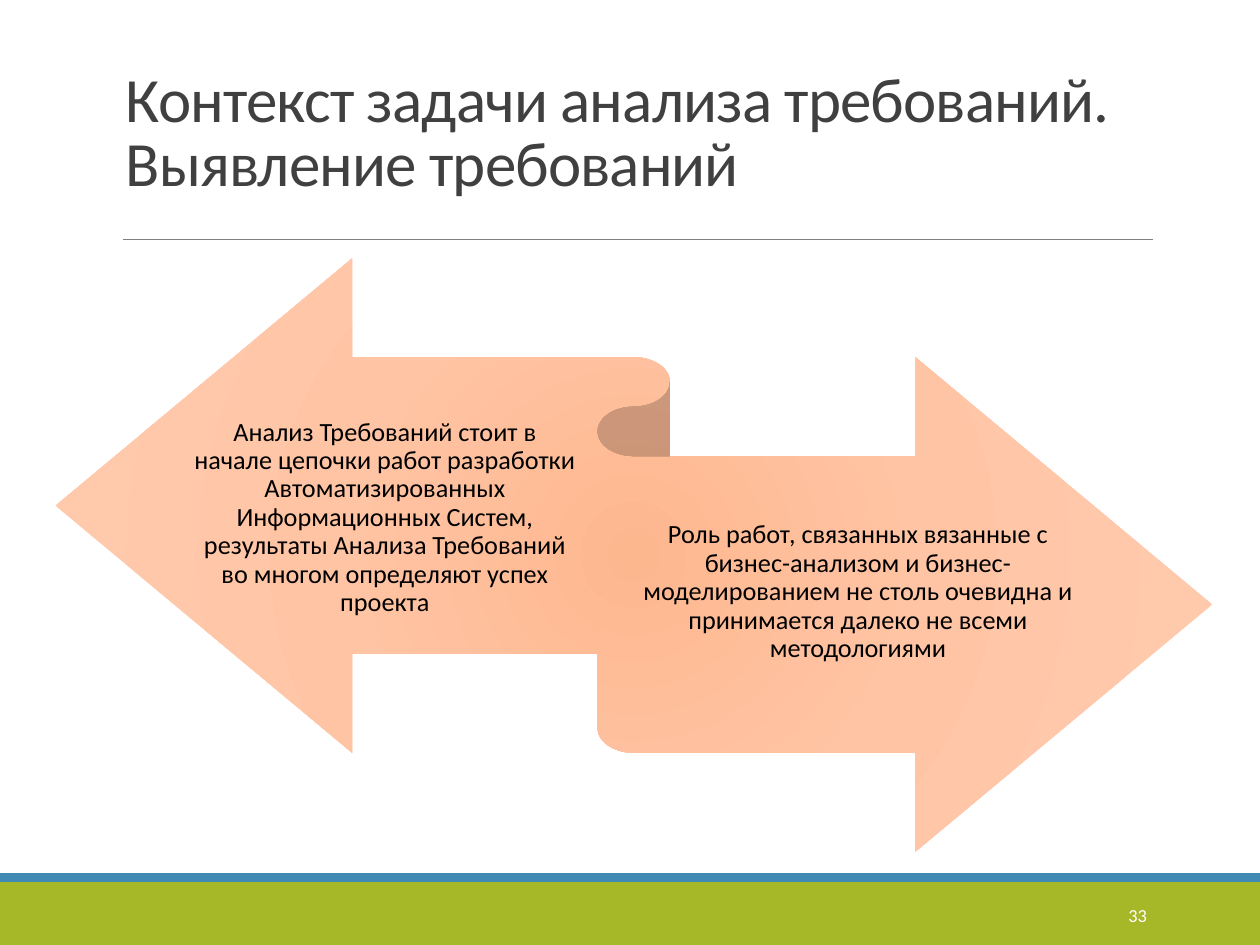
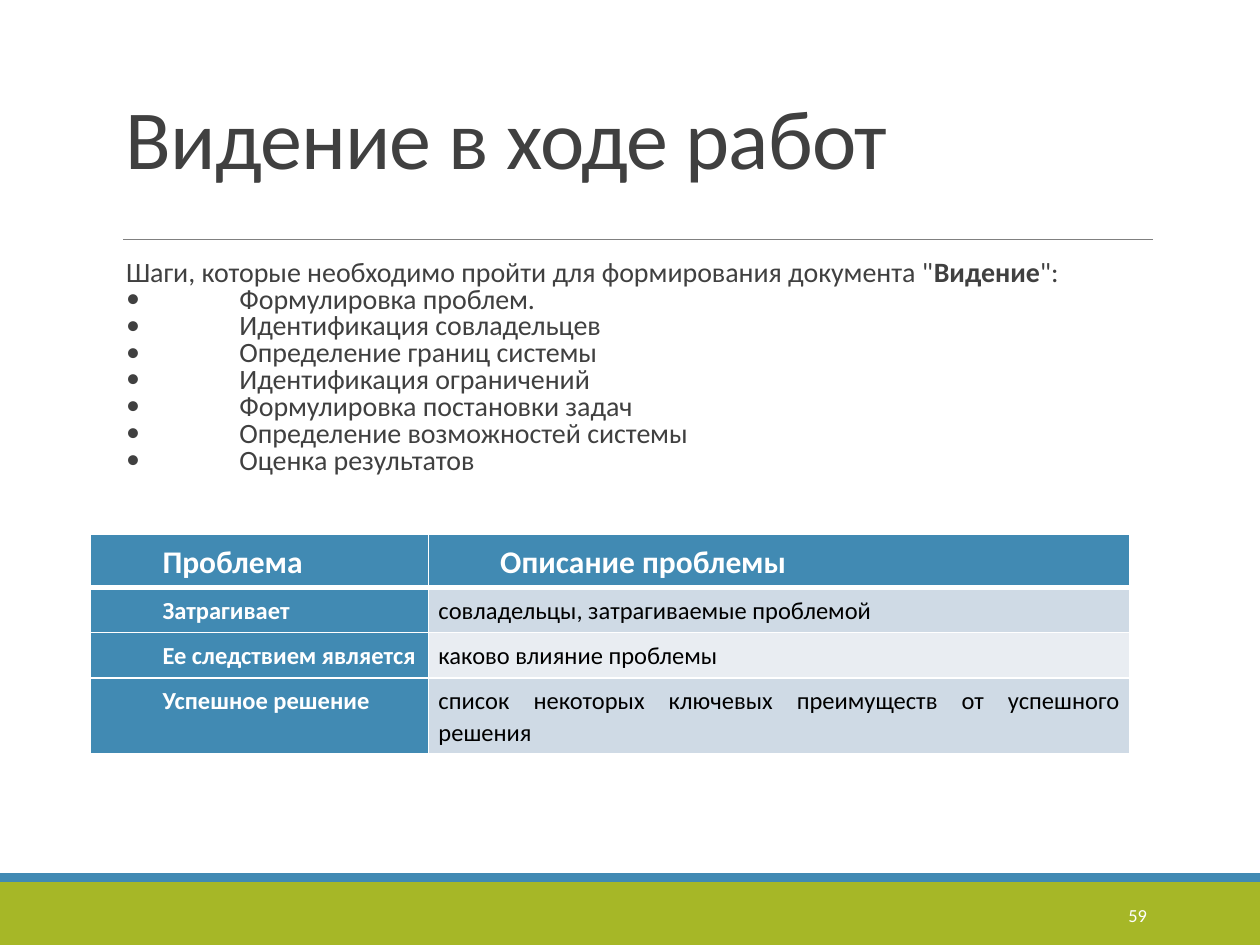
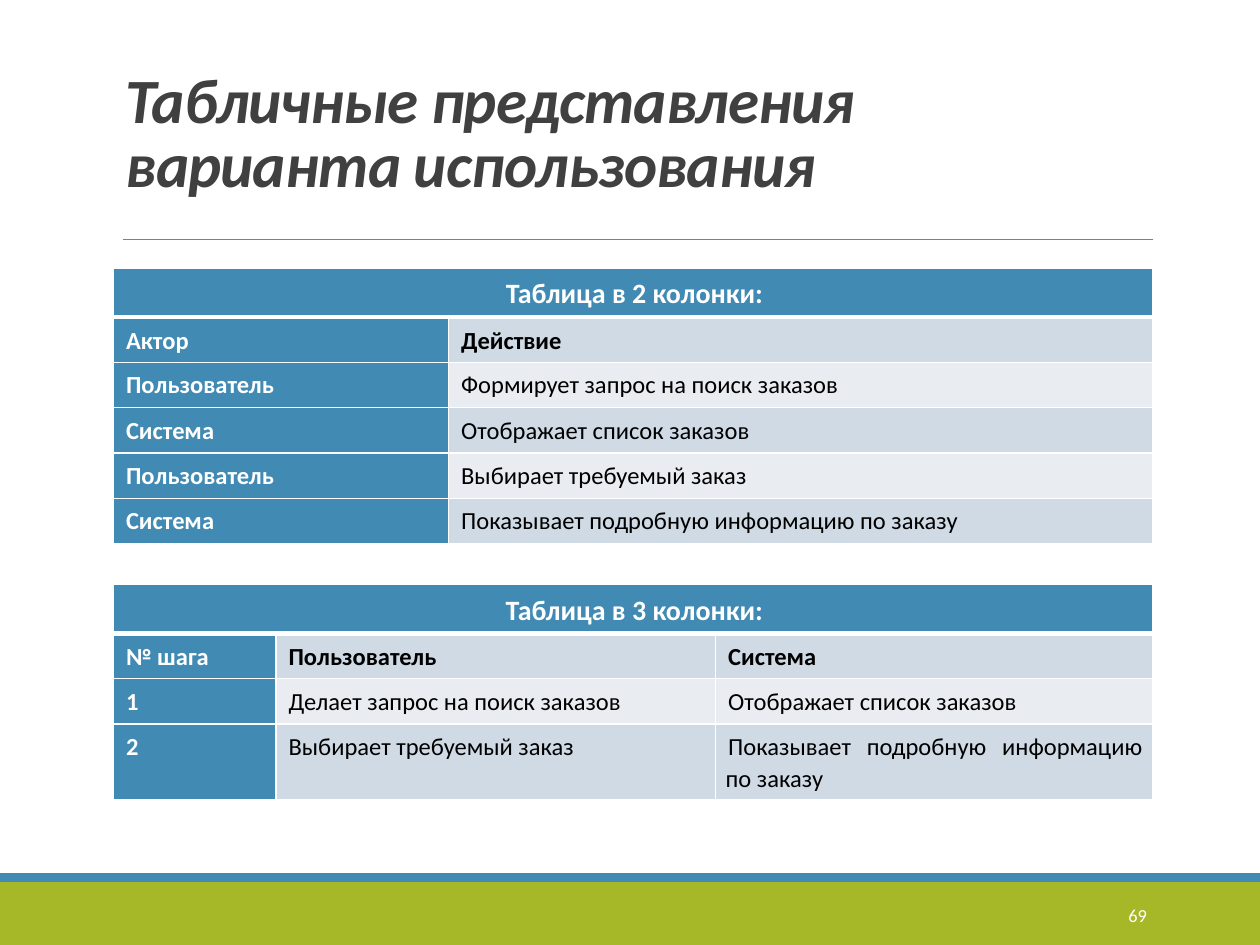
"""Build three slides on requirements analysis."""
from dataclasses import dataclass

from pptx import Presentation
from pptx.dml.color import RGBColor
from pptx.enum.shapes import MSO_CONNECTOR, MSO_SHAPE
from pptx.enum.text import MSO_ANCHOR, PP_ALIGN
from pptx.oxml import parse_xml
from pptx.oxml.ns import nsdecls, qn
from pptx.slide import Slide
from pptx.text.text import TextFrame
from pptx.util import Inches, Pt

RECT, RIBBON = MSO_SHAPE.RECTANGLE, MSO_SHAPE.LEFT_RIGHT_RIBBON
LINE = MSO_CONNECTOR.STRAIGHT
TOP, MID, LOW = MSO_ANCHOR.TOP, MSO_ANCHOR.MIDDLE, MSO_ANCHOR.BOTTOM
LEFT, RIGHT = PP_ALIGN.LEFT, PP_ALIGN.RIGHT
CENTER, JUST = PP_ALIGN.CENTER, PP_ALIGN.JUSTIFY
FONT = "Calibri"
HUES = {
    "green": "A6B727", "blue": "418AB3", "rule": "808080", "ink": "404040",
    "black": "000000", "white": "FFFFFF", "odd": "CFDAE5", "even": "E9EDF2",
}
GLOW = ((0, "FDB78F"), (45, "FFC4A4"), (100, "FFCBAF"))


@dataclass
class Box:
    left: float
    top: float
    width: float
    height: float

    def place(self) -> list[int]:
        return [Inches(n) for n in (self.left, self.top, self.width, self.height)]


@dataclass
class Band:
    box: Box
    hue: str


@dataclass
class Head:
    text: str
    height: float
    size: int = 36
    strong: bool = False


@dataclass
class Grid:
    left: float
    top: float
    cols: tuple[float, ...]
    rows: list[tuple[str, ...]]
    size: int
    lead: float
    inner: float
    heads: int = 1
    span: bool = False


BANDS = (Band(Box(0, 7, 10, 0.5), "green"), Band(Box(0, 6.93, 10, 0.07), "blue"))

NOTES = (
    (Box(1.54, 3.21, 3.03, 1.8),
     "Анализ Требований стоит в начале цепочки работ разработки Автоматизированных "
     "Информационных Систем, результаты Анализа Требований во многом определяют "
     "успех проекта"),
    (Box(5.02, 3.8, 3.58, 1.8),
     "Роль работ, связанных вязанные с бизнес-анализом и бизнес-моделированием не "
     "столь очевидна и принимается далеко не всеми методологиями"),
)

STEPS = (
    'Шаги, которые необходимо пройти для формирования документа "**Видение**":',
    "Формулировка проблем.",
    "Идентификация совладельцев",
    "Определение границ системы",
    "Идентификация ограничений",
    "Формулировка постановки задач",
    "Определение возможностей системы",
    "Оценка результатов",
)

ISSUE = Grid(0.72, 4.24, (2.68, 5.57), [
    ("Проблема", "Описание проблемы"),
    ("Затрагивает", "совладельцы, затрагиваемые проблемой"),
    ("Ее следствием является", "каково влияние проблемы"),
    ("Успешное решение",
     "список некоторых ключевых преимуществ от успешного решения"),
], size=18, lead=0.49, inner=0)

PAIR = Grid(0.9, 2.13, (2.66, 5.59), [
    ("Таблица в 2 колонки:", ""),
    ("Актор", "Действие"),
    ("Пользователь", "Формирует запрос на поиск заказов"),
    ("Система", "Отображает список заказов"),
    ("Пользователь", "Выбирает требуемый заказ"),
    ("Система", "Показывает подробную информацию по заказу"),
], size=16, lead=0.02, inner=0.02, heads=2, span=True)

TRIO = Grid(0.9, 4.64, (1.29, 3.49, 3.47), [
    ("Таблица в 3 колонки:", "", ""),
    ("№ шага", "Пользователь", "Система"),
    ("1", "Делает запрос на поиск заказов", "Отображает список заказов"),
    ("2", "Выбирает требуемый заказ", "Показывает подробную информацию по заказу"),
], size=16, lead=0.02, inner=0.02, heads=2, span=True)


def color(name: str) -> RGBColor:
    return RGBColor.from_string(HUES[name])


def write(frame: TextFrame, *lines: str, size: float, hue: str = "black",
          bold: bool = False, slant: bool = False, align: PP_ALIGN = LEFT,
          pitch: float = 1.0, track: int = 0, margin: float = 0,
          first: float = 0, dots: bool = False) -> None:
    for num, line in enumerate(lines):
        para = frame.add_paragraph() if num else frame.paragraphs[0]
        props = para._p.get_or_add_pPr()
        dot = dots and num > 0
        props.set("marL", str(Inches(1.0 if dot else margin)))
        props.set("indent", str(Inches(-0.9 if dot else first)))
        if dot:
            props.append(parse_xml(f'<a:buFont {nsdecls("a")} typeface="{FONT}"/>'))
            props.append(parse_xml(f'<a:buChar {nsdecls("a")} char="•"/>'))
        para.alignment, para.line_spacing = align, pitch
        for turn, part in enumerate(line.split("**")):
            for row, bit in enumerate(part.split("\n")):
                if row:
                    para.add_line_break()
                run = para.add_run()
                run.text = bit
                font = run.font
                font.name, font.size = FONT, Pt(size)
                font.bold, font.italic = bold or turn % 2 == 1, slant
                font.color.rgb = color(hue)
                if track:
                    run._r.get_or_add_rPr().set("spc", str(track))


def frame(slide: Slide, box: Box, side: float = 0.1, edge: float = 0.05,
          anchor: MSO_ANCHOR = TOP) -> TextFrame:
    body = slide.shapes.add_textbox(*box.place()).text_frame
    body.word_wrap, body.vertical_anchor = True, anchor
    body.margin_left = body.margin_right = Inches(side)
    body.margin_top = body.margin_bottom = Inches(edge)
    return body


def start(deck: Presentation, head: Head, page: str) -> Slide:
    slide = deck.slides.add_slide(deck.slide_layouts[6])
    for band in BANDS:
        shape = slide.shapes.add_shape(RECT, *band.box.place())
        shape.shadow.inherit = False
        shape.fill.solid()
        shape.fill.fore_color.rgb = color(band.hue)
        shape.line.fill.background()
    rule = slide.shapes.add_connector(
        LINE, Inches(0.98), Inches(1.9), Inches(9.15), Inches(1.9))
    rule.line.color.rgb, rule.line.width = color("rule"), Pt(0.5)
    rule._element.spPr.append(parse_xml(f'<a:effectLst {nsdecls("a")}/>'))
    write(frame(slide, Box(0.9, 0.31, 8.25, head.height), anchor=LOW), head.text,
          size=head.size, hue="ink", bold=head.strong, slant=head.strong,
          pitch=0.85, track=-50)
    write(frame(slide, Box(8.12, 7.06, 1.08, 0.4), anchor=MID), page,
          size=10.5, hue="white", align=RIGHT)
    return slide


def ribbon(slide: Slide, box: Box) -> None:
    shape = slide.shapes.add_shape(RIBBON, *box.place())
    shape.shadow.inherit = False
    shape.line.fill.background()
    shape.fill.background()
    stops = "".join(f'<a:gs pos="{pos * 1000}"><a:srgbClr val="{hue}"/></a:gs>'
                    for pos, hue in GLOW)
    glow = parse_xml(
        f'<a:gradFill {nsdecls("a")} rotWithShape="1"><a:gsLst>{stops}</a:gsLst>'
        '<a:path path="circle"><a:fillToRect l="100000" t="100000" r="100000" '
        'b="100000"/></a:path></a:gradFill>')
    props = shape._element.spPr
    props.replace(props.find(qn("a:noFill")), glow)


def edge(cell, row: int) -> None:
    wide = {"lnT": 3 if row == 1 else 1, "lnB": 3 if row == 0 else 1}
    for spot, side in enumerate(("lnL", "lnR", "lnT", "lnB")):
        cell._tc.get_or_add_tcPr().insert(spot, parse_xml(
            f'<a:{side} {nsdecls("a")} w="{Pt(wide.get(side, 1))}"><a:solidFill>'
            f'<a:srgbClr val="{HUES["white"]}"/></a:solidFill></a:{side}>'))


def draw(slide: Slide, grid: Grid) -> None:
    highs = [0.38] + [0.36] * (len(grid.rows) - 1)
    box = Box(grid.left, grid.top, sum(grid.cols), sum(highs))
    table = slide.shapes.add_table(
        len(grid.rows), len(grid.cols), *box.place()).table
    table.first_row = table.horz_banding = False
    for col, width in zip(table.columns, grid.cols):
        col.width = Inches(width)
    for row, high in zip(table.rows, highs):
        row.height = Inches(high)
    if grid.span:
        table.cell(0, 0).merge(table.cell(0, len(grid.cols) - 1))
    for r, texts in enumerate(grid.rows):
        for c, text in enumerate(texts):
            cell = table.cell(r, c)
            main = r == 0 or c == 0
            cell.fill.solid()
            cell.fill.fore_color.rgb = color(
                "blue" if main else "odd" if r % 2 else "even")
            edge(cell, r)
            cell.margin_left = cell.margin_right = Inches(0.08)
            cell.margin_top = cell.margin_bottom = Inches(0.05)
            cell.vertical_anchor = MID if r < grid.heads else TOP
            if text:
                write(cell.text_frame, text, size=14 if r else grid.size,
                      hue="white" if main else "black",
                      bold=main or r < grid.heads,
                      align=CENTER if grid.span and r == 0 else JUST,
                      pitch=1.07, first=grid.lead if main else grid.inner)


def main() -> None:
    deck = Presentation()
    deck.slide_width, deck.slide_height = Inches(10), Inches(7.5)

    slide = start(deck, Head(
        "Контекст задачи анализа требований.\nВыявление требований", 1.32), "33")
    ribbon(slide, Box(0.44, 2.05, 9.18, 4.71))
    for box, note in NOTES:
        write(frame(slide, box, side=0, edge=0.06, anchor=MID), note,
              size=15, align=CENTER, pitch=0.9)

    slide = start(deck, Head("Видение в ходе работ", 1.22, size=48), "59")
    write(frame(slide, Box(0.9, 2.02, 8.25, 1.98), side=0), *STEPS,
          size=16, hue="ink", pitch=0.8, margin=0.1, dots=True)
    draw(slide, ISSUE)

    slide = start(deck, Head(
        "Табличные представления варианта использования", 1.33, strong=True), "69")
    draw(slide, PAIR)
    draw(slide, TRIO)

    deck.save("out.pptx")


if __name__ == "__main__":
    main()
